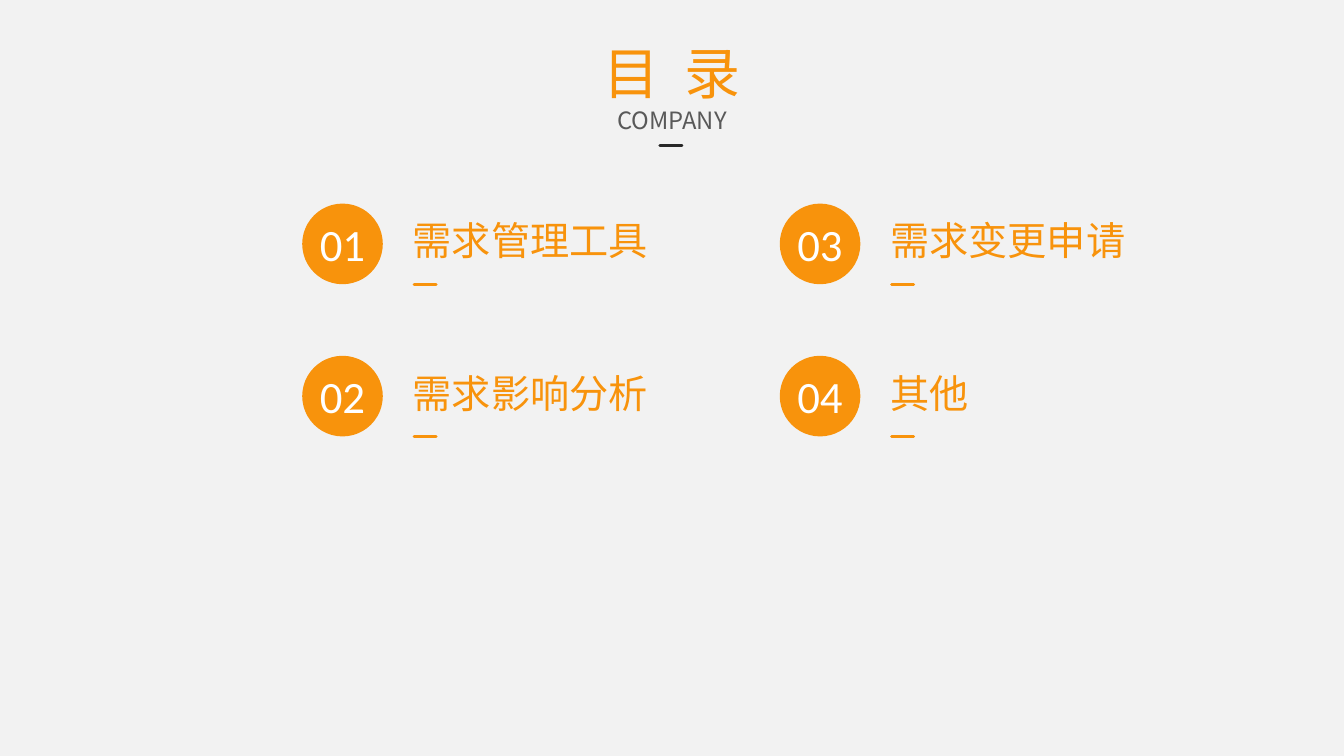
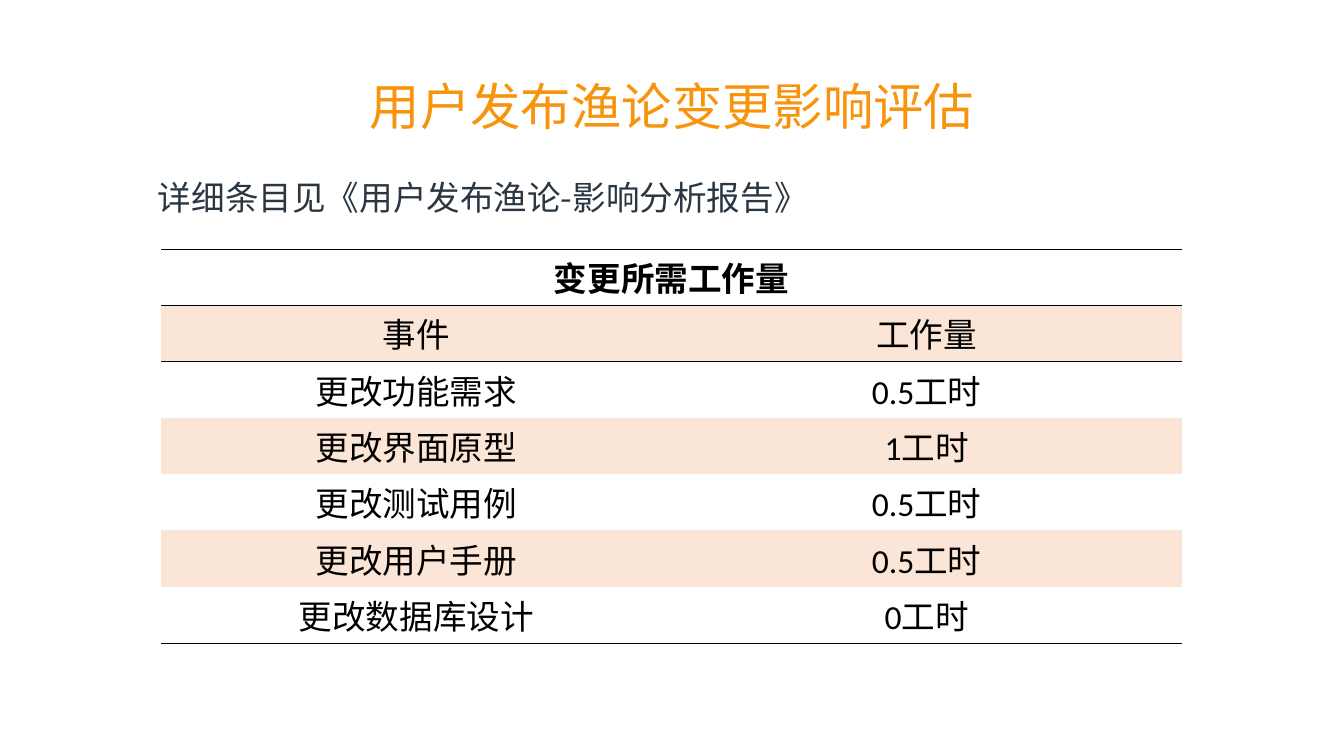
from lxml import etree
from pptx import Presentation
from pptx.dml.color import RGBColor
from pptx.enum.shapes import MSO_CONNECTOR, MSO_SHAPE
from pptx.enum.text import MSO_ANCHOR, PP_ALIGN
from pptx.oxml.ns import qn
from pptx.util import Inches, Pt

LEFT, CENTER = PP_ALIGN.LEFT, PP_ALIGN.CENTER
TOP, MIDDLE = MSO_ANCHOR.TOP, MSO_ANCHOR.MIDDLE
LINE, OVAL = MSO_CONNECTOR.STRAIGHT, MSO_SHAPE.OVAL

ORANGE, GRAY, DARK, NAVY = "F8930C", "595959", "282828", "2A3641"
WHITE, BLACK, PALE, PEACH = "FFFFFF", "000000", "F2F2F2", "FBE5D6"
SANS, LATIN = "Noto Sans CJK SC", "Calibri"
NO_GRID = "{2D5ABB26-0587-4C30-8999-92F81FD0307C}"

TOPICS = ["需求管理工具", "需求影响分析", "需求变更申请", "其他"]
TITLE = "用户发布渔论变更影响评估"
NOTE = "详细条目见《用户发布渔论-影响分析报告》"
HEAD = "变更所需工作量"
EFFORT = [
    ("事件", "工作量"),
    ("更改功能需求", "0.5工时"),
    ("更改界面原型", "1工时"),
    ("更改测试用例", "0.5工时"),
    ("更改用户手册", "0.5工时"),
    ("更改数据库设计", "0工时"),
]


def color(code):
    return RGBColor.from_string(code)


def write(para, text, size, ink=ORANGE, font=SANS, bold=False, align=LEFT,
          lines=None, track=0):
    """Fill a paragraph; track is extra letter spacing in points."""
    para.alignment = align
    if lines:
        para.line_spacing = lines
    run = para.add_run()
    run.text = text
    run.font.size, run.font.bold, run.font.name = Pt(size), bold, font
    run.font.color.rgb = color(ink)
    props = run.font._element
    etree.SubElement(props, qn("a:ea")).set("typeface", SANS)
    if track:
        props.set("spc", str(int(track * 100)))


def add_text(slide, x, y, w, h, text, size, **style):
    box = slide.shapes.add_textbox(Inches(x), Inches(y), Inches(w), Inches(h))
    frame = box.text_frame
    frame.word_wrap, frame.vertical_anchor = True, TOP
    write(frame.paragraphs[0], text, size, **style)
    return frame


def add_dash(slide, x, y, ink=ORANGE, w=0.22):
    dash = slide.shapes.add_connector(
        LINE, Inches(x), Inches(y), Inches(x + w), Inches(y))
    dash.line.color.rgb, dash.line.width = color(ink), Pt(2)
    dash.line._get_or_add_ln().set("cap", "rnd")
    etree.SubElement(dash._element.spPr, qn("a:effectLst"))


def add_topic(slide, x, y, number, text):
    disc = slide.shapes.add_shape(
        OVAL, Inches(x), Inches(y), Inches(0.8), Inches(0.8))
    disc.shadow.inherit = False
    disc.fill.solid()
    disc.fill.fore_color.rgb = color(ORANGE)
    disc.line.fill.background()
    frame = disc.text_frame
    frame.margin_left = frame.margin_right = 0
    frame.margin_top = frame.margin_bottom = 0
    frame.word_wrap, frame.vertical_anchor = False, MIDDLE
    write(frame.paragraphs[0], f"{number:02}", 32, ink=WHITE, font=LATIN,
          align=CENTER)
    add_text(slide, x + 1, y + 0.08, 3.16, 0.57, text, 28)
    add_dash(slide, x + 1.11, y + 0.8)


def add_border(cell, side):
    line = etree.Element(qn("a:" + side), w=str(Pt(0.45)))
    fill = etree.SubElement(line, qn("a:solidFill"))
    etree.SubElement(fill, qn("a:srgbClr")).set("val", BLACK)
    cell._tc.get_or_add_tcPr().insert(0, line)


def add_effort(slide):
    rows = [(HEAD, "")] + EFFORT
    last = len(rows) - 1
    frame = slide.shapes.add_table(
        len(rows), 2, Inches(1.6), Inches(2.47), Inches(10.13), Inches(3.91))
    for style in frame._element.iter(qn("a:tableStyleId")):
        style.text = NO_GRID
    table = frame.table
    table.first_row = table.horz_banding = False
    for r, texts in enumerate(rows):
        for c, text in enumerate(texts):
            cell = table.cell(r, c)
            cell.vertical_anchor = MIDDLE
            cell.margin_top = cell.margin_bottom = Inches(0.03)
            if r % 2:
                cell.fill.solid()
                cell.fill.fore_color.rgb = color(PEACH)
            else:
                cell.fill.background()
            if r in (0, last):
                add_border(cell, "lnB")
            if r in (0, 1):
                add_border(cell, "lnT")
            if text:
                write(cell.text_frame.paragraphs[0], text, 24, ink=BLACK,
                      font=LATIN, bold=r == 0, align=CENTER)
    table.cell(0, 0).merge(table.cell(0, 1))


def add_slide(deck, back):
    slide = deck.slides.add_slide(deck.slide_layouts[6])
    slide.background.fill.solid()
    slide.background.fill.fore_color.rgb = color(back)
    return slide


def build_agenda(deck):
    slide = add_slide(deck, PALE)
    frame = add_text(slide, 5.89, 0.33, 1.56, 1.05, "目 录", 40,
                     align=CENTER, track=4.5)
    write(frame.add_paragraph(), "COMPANY", 17, ink=GRAY, align=CENTER)
    add_dash(slide, 6.55, 1.44, ink=DARK)
    for i, text in enumerate(TOPICS):
        col, row = divmod(i, 2)
        add_topic(slide, 3 + 4.74 * col, 2.02 + 1.51 * row, i + 1, text)


def build_impact(deck):
    slide = add_slide(deck, WHITE)
    add_text(slide, 3.31, 0.7, 6.72, 0.7, TITLE, 36, align=CENTER)
    add_text(slide, 1.47, 1.59, 10.84, 0.62, NOTE, 24, ink=NAVY, lines=1.3)
    add_effort(slide)


def main():
    deck = Presentation()
    deck.slide_width, deck.slide_height = Inches(13.34), Inches(7.5)
    build_agenda(deck)
    build_impact(deck)
    deck.save("out.pptx")


if __name__ == "__main__":
    main()
